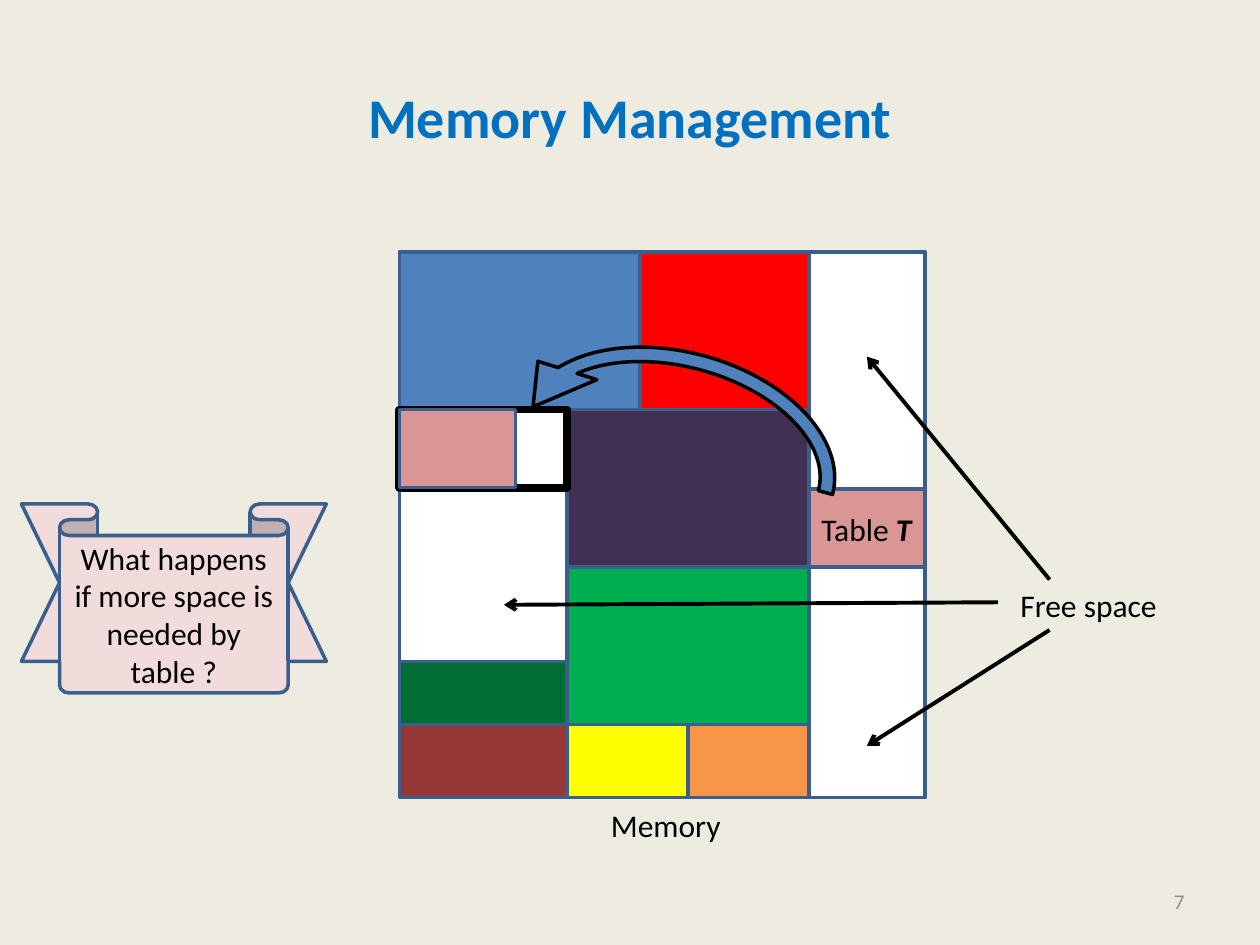
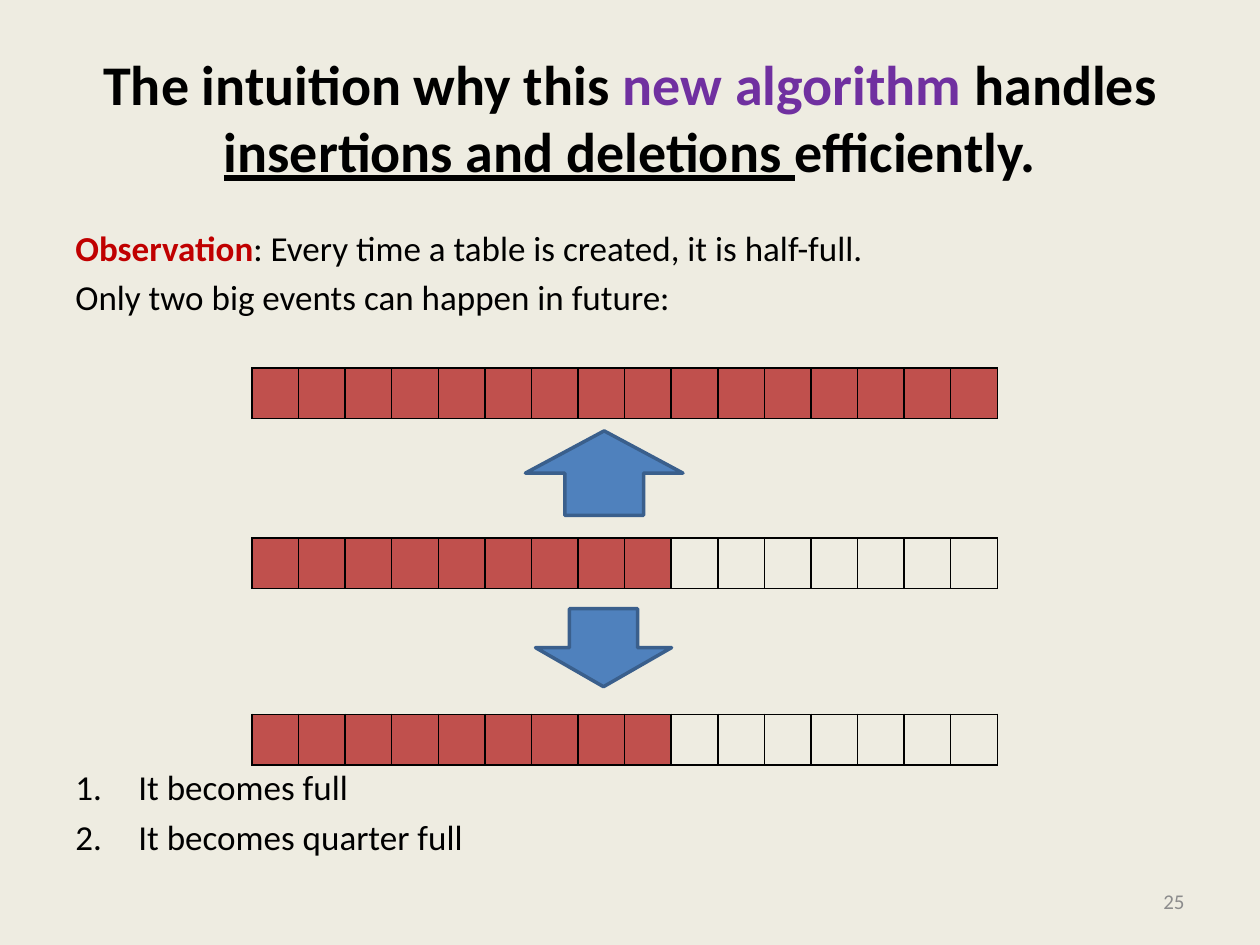
from lxml.etree import SubElement
from pptx import Presentation
from pptx.dml.color import RGBColor
from pptx.enum.shapes import MSO_CONNECTOR, MSO_SHAPE as SHAPE
from pptx.enum.text import MSO_ANCHOR as ANCHOR, PP_ALIGN as ALIGN
from pptx.oxml.ns import qn
from pptx.util import Inches, Pt

FONT = "Calibri"
COLORS = {
    "background": "EEECE1", "black": "000000", "white": "FFFFFF", "number": "8C8C8C",
    "outline": "3A5F8C", "blue": "4F81BD", "heading": "0070C0", "purple": "7030A0",
    "observation": "C00000", "ribbon": "F2DCDB", "occupied": "C0504D",
    "orange": "F79646", "red": "FF0000", "plum": "403152", "green": "00B050",
    "brown": "953735", "dark green": "006C31", "pink": "D99694", "yellow": "FFFF00",
}

MEMORY_TITLE = [[("Memory Management", {"color": "heading", "bold": True})]]
QUESTION = [[("What happens if more space is needed by table ?", {})]]
TABLE_LABEL = [[("Table ", {}), ("T", {"bold": True, "italic": True})]]
MEMORY_BLOCKS = [
    ("orange", 3.17, 2, 7.34, 6.33),
    ("blue", 3.17, 2, 5.08, 3.25),
    ("white", 3.17, 3.25, 4.5, 5.25),
    ("red", 5.08, 2, 6.42, 3.25),
    ("plum", 4.5, 3.25, 6.42, 4.5),
    ("green", 4.5, 4.5, 6.42, 5.75),
    ("brown", 3.17, 5.75, 4.5, 6.33),
    ("white", 6.42, 2, 7.34, 3.88),
    ("white", 6.42, 4.46, 7.34, 6.33),
    ("dark green", 3.17, 5.25, 4.5, 5.75),
    ("pink", 6.42, 3.88, 7.34, 4.5),
    ("yellow", 4.5, 5.75, 5.46, 6.33),
]
NEW_SPACE = (3.17, 3.25, 1.33, 0.62)
MOVED_TABLE = (3.17, 3.25, 0.92, 0.62)
MOVE_ARROW = {"at": (3.93, 2.61, 2.91, 1.96), "rotation": 15.3,
              "adjustments": (0.059, 11.423, 203.338, 108, 0.125)}
FREE_SPACE_ARROWS = [
    (8.33, 4.6, 6.88, 2.83),
    (7.92, 4.78, 4, 4.8),
    (8.33, 5, 6.88, 5.92),
]

INTUITION_TITLE = [[
    ("The intuition why this ", {"bold": True}),
    ("new algorithm ", {"bold": True, "color": "purple"}),
    ("handles ", {"bold": True}),
    ("insertions and deletions ", {"bold": True, "underline": True}),
    ("efficiently.", {"bold": True}),
]]
OBSERVATION = [
    [("Observation", {"bold": True, "color": "observation"}),
     (": Every time a table is created, it is half-full.", {})],
    [("Only two big events can happen in future:", {})],
]
EVENTS = [[("It becomes full", {})], [("It becomes quarter full", {})]]
SLOTS = 16
SLOT_TABLES = [(2.92, 16), (4.27, 9), (5.67, 9)]
EVENT_ARROWS = [
    (SHAPE.DOWN_ARROW, (4.25, 4.83, 1.08, 0.62)),
    (SHAPE.UP_ARROW, (4.17, 3.42, 1.25, 0.67)),
]


def rgb(name):
    return RGBColor.from_string(COLORS[name])


def inches(values):
    return [Inches(value) for value in values]


def write(frame, paragraphs, size, align=ALIGN.LEFT, anchor=ANCHOR.TOP,
          color="black", wrap=True, numbered=False):
    frame.word_wrap = wrap
    frame.vertical_anchor = anchor
    for index, spans in enumerate(paragraphs):
        para = frame.add_paragraph() if index else frame.paragraphs[0]
        para.alignment = align
        if index:
            para.space_before = Pt(size * 0.2)
        if numbered:
            properties = para._p.get_or_add_pPr()
            properties.set("marL", str(Inches(0.5)))
            properties.set("indent", str(Inches(-0.5)))
            SubElement(properties, qn("a:buFont"), typeface="+mj-lt")
            SubElement(properties, qn("a:buAutoNum"), type="arabicPeriod")
        for text, style in spans:
            span = para.add_run()
            span.text = text
            span.font.name = FONT
            span.font.size = Pt(size)
            span.font.bold = style.get("bold", False)
            span.font.italic = style.get("italic", False)
            span.font.underline = style.get("underline", False)
            span.font.color.rgb = rgb(style.get("color", color))


def add_text(page, at, paragraphs, size=18, **options):
    box = page.shapes.add_textbox(*inches(at))
    write(box.text_frame, paragraphs, size, **options)


def add_figure(page, kind, at, fill, line="outline", width=2):
    figure = page.shapes.add_shape(kind, *inches(at))
    figure.shadow.inherit = False
    figure.fill.solid()
    figure.fill.fore_color.rgb = rgb(fill)
    figure.line.color.rgb = rgb(line)
    figure.line.width = Pt(width)
    return figure


def adjust(figure, values):
    for index, value in enumerate(values):
        figure.adjustments[index] = value


def add_arrow(page, ends):
    arrow = page.shapes.add_connector(MSO_CONNECTOR.STRAIGHT, *inches(ends))
    arrow.line.color.rgb = rgb("black")
    arrow.line.width = Pt(2.25)
    properties = arrow.element.spPr
    SubElement(properties.find(qn("a:ln")), qn("a:tailEnd"), type="arrow")
    SubElement(properties, qn("a:effectLst"))


def add_borders(cell):
    properties = cell._tc.get_or_add_tcPr()
    for index, side in enumerate(("lnL", "lnR", "lnT", "lnB")):
        border = properties.makeelement(qn(f"a:{side}"), {"w": str(Pt(1))})
        fill = SubElement(border, qn("a:solidFill"))
        SubElement(fill, qn("a:srgbClr"), val=COLORS["black"])
        properties.insert(index, border)


def add_slot_table(page, top, occupied):
    at = inches((2, top, 5.92, 0.4))
    table = page.shapes.add_table(1, SLOTS, *at).table
    table.first_row = table.horz_banding = False
    for index, cell in enumerate(table.iter_cells()):
        table.columns[index].width = Inches(5.92 / SLOTS)
        if index < occupied:
            cell.fill.solid()
            cell.fill.fore_color.rgb = rgb("occupied")
        else:
            cell.fill.background()
        add_borders(cell)


def add_page(deck, title, number):
    page = deck.slides.add_slide(deck.slide_layouts[6])
    page.background.fill.solid()
    page.background.fill.fore_color.rgb = rgb("background")
    add_text(page, (0.5, 0.3, 9, 1.25), title, 32, align=ALIGN.CENTER, anchor=ANCHOR.MIDDLE)
    add_text(page, (7.17, 6.95, 2.33, 0.4), [[(number, {})]], 12,
             align=ALIGN.RIGHT, anchor=ANCHOR.MIDDLE, color="number")
    return page


def build_memory(deck):
    page = add_page(deck, MEMORY_TITLE, "7")
    add_text(page, (4.75, 6.35, 1.07, 0.4), [[("Memory", {})]], wrap=False)
    ribbon = add_figure(page, SHAPE.DOWN_RIBBON, (0.17, 4, 2.42, 1.5), "ribbon")
    adjust(ribbon, (0.167, 0.75))
    write(ribbon.text_frame, QUESTION, 18, align=ALIGN.CENTER, anchor=ANCHOR.MIDDLE)
    for fill, left, top, right, bottom in MEMORY_BLOCKS:
        add_figure(page, SHAPE.RECTANGLE, (left, top, right - left, bottom - top), fill)
    add_figure(page, SHAPE.RECTANGLE, NEW_SPACE, "white", "black", 4.5)
    move = add_figure(page, SHAPE.CIRCULAR_ARROW, MOVE_ARROW["at"], "blue", "black")
    adjust(move, MOVE_ARROW["adjustments"])
    move.rotation = MOVE_ARROW["rotation"]
    move.element.spPr.find(qn("a:xfrm")).set("flipH", "1")
    add_figure(page, SHAPE.RECTANGLE, MOVED_TABLE, "pink")
    add_text(page, (8, 4.6, 1.3, 0.4), [[("Free space", {})]], wrap=False)
    for ends in FREE_SPACE_ARROWS:
        add_arrow(page, ends)
    add_text(page, (6.42, 4, 0.92, 0.4), TABLE_LABEL, wrap=False)


def build_intuition(deck):
    page = add_page(deck, INTUITION_TITLE, "25")
    add_text(page, (0.5, 1.75, 9, 0.85), OBSERVATION, 20)
    add_text(page, (0.5, 6.03, 6.5, 0.85), EVENTS, 20, numbered=True)
    for top, occupied in SLOT_TABLES:
        add_slot_table(page, top, occupied)
    for kind, at in EVENT_ARROWS:
        add_figure(page, kind, at, "blue")


def main():
    deck = Presentation()
    deck.slide_width, deck.slide_height = Inches(10), Inches(7.5)
    build_memory(deck)
    build_intuition(deck)
    deck.save("out.pptx")


if __name__ == "__main__":
    main()
